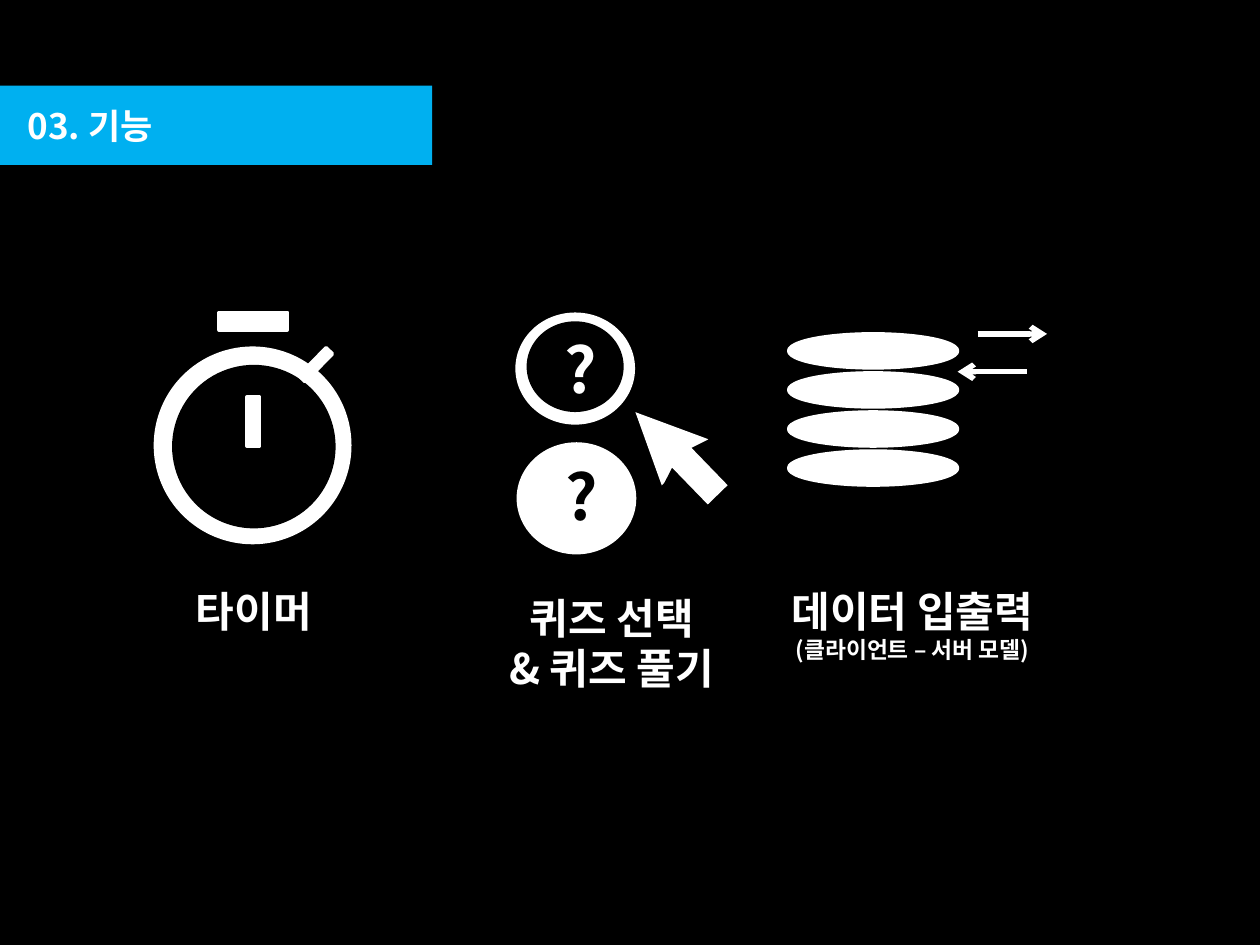
import pptx
import pptx.dml.color
import pptx.enum.shapes
import pptx.enum.text
import pptx.oxml
import pptx.oxml.ns
import pptx.util

COLUMNS, ROWS = 100, 75
CELL = pptx.util.Inches(10) // COLUMNS
FONT = "Noto Sans CJK KR"
BLACK, WHITE, BLUE = "000000", "FFFFFF", "00B0F0"
KIND = pptx.enum.shapes.MSO_SHAPE
CENTER = pptx.enum.text.PP_ALIGN.CENTER
LEFT = pptx.enum.text.PP_ALIGN.LEFT


def color(value):
    return pptx.dml.color.RGBColor.from_string(value)


def cells(*counts):
    return [round(count * CELL) for count in counts]


def within(box, left, top, width, height):
    return cells(box[0] + left, box[1] + top, width, height)


def add_part(shapes, kind, area, fill, outlined=False, rotation=0):
    shape = shapes.add_shape(kind, *area)
    shape.shadow.inherit = False
    shape.rotation = rotation
    shape.fill.solid()
    shape.fill.fore_color.rgb = color(fill)
    if outlined:
        shape.line.color.rgb = color(fill)
        shape.line.width = pptx.util.Pt(2)
    else:
        shape.line.fill.background()


def add_label(shapes, area, lines, ink=WHITE, alignment=CENTER):
    text_frame = shapes.add_textbox(*area).text_frame
    text_frame.word_wrap = True
    text_frame.auto_size = pptx.enum.text.MSO_AUTO_SIZE.SHAPE_TO_FIT_TEXT
    text_frame.text = "\n".join(text for text, size in lines)
    for paragraph, (text, size) in zip(text_frame.paragraphs, lines):
        paragraph.alignment = alignment
        font = paragraph.runs[0].font
        font.name = FONT
        font.size = pptx.util.Pt(size)
        font.bold = True
        font.color.rgb = color(ink)
        east_asian = pptx.oxml.parse_xml(
            f'<a:ea {pptx.oxml.ns.nsdecls("a")} typeface="{FONT}"/>')
        paragraph.runs[0].font._element.append(east_asian)


def add_arrow(shapes, box, start, end, row):
    points = cells(box[0] + start, box[1] + row, box[0] + end, box[1] + row)
    connector = shapes.add_connector(
        pptx.enum.shapes.MSO_CONNECTOR.STRAIGHT, *points)
    connector.line.color.rgb = color(WHITE)
    connector.line.width = pptx.util.Pt(3)
    namespace = pptx.oxml.ns.nsdecls("a")
    connector.line._get_or_add_ln().append(
        pptx.oxml.parse_xml(f'<a:tailEnd {namespace} type="arrow"/>'))
    connector._element.spPr.append(
        pptx.oxml.parse_xml(f"<a:effectLst {namespace}/>"))


def add_title(shapes, box):
    add_part(shapes, KIND.RECTANGLE, cells(*box), BLUE)
    add_label(shapes, within(box, 4.7, 1, 38.6, 4.4), [("03. 기능", 20)],
              alignment=LEFT)


def add_timer(shapes, box):
    add_part(shapes, KIND.OVAL, within(box, 3.1, 2.7, 15.7, 15.7), WHITE)
    add_part(shapes, KIND.OVAL, within(box, 4.7, 4.3, 12.7, 12.7), BLACK, True)
    hand, knob, crown = (10.5, 6.7, 1, 3.9), (15.6, 2.6, 0.7, 3.1), (8.3, 0, 5.4, 1.4)
    for part, rotation in ((hand, 0), (knob, 44.3), (crown, 0)):
        add_part(shapes, KIND.RECTANGLE, within(box, *part), WHITE, True, rotation)
    add_label(shapes, within(box, 0, 21.2, box[2], 5), [("타이머", 24)])


def add_quiz(shapes, box):
    add_part(shapes, KIND.OVAL, within(box, 2.7, 0, 9.5, 8.9), WHITE)
    add_part(shapes, KIND.OVAL, within(box, 3.6, 0.7, 7.7, 7.2), BLACK)
    add_part(shapes, KIND.OVAL, within(box, 2.8, 10.3, 9.5, 8.9), WHITE)
    pointer = (
        (KIND.ISOSCELES_TRIANGLE, (11.6, 7.1, 5.2, 5.6), WHITE, 315.3),
        (KIND.ISOSCELES_TRIANGLE, (13, 11.1, 6.1, 1), BLACK, 315.3),
        (KIND.RECTANGLE, (14.1, 11.4, 5.5, 2.2), WHITE, 45.9),
    )
    for kind, part, fill, rotation in pointer:
        add_part(shapes, kind, within(box, *part), fill, rotation=rotation)
    add_label(shapes, within(box, 0, 21.7, box[2], 9.1),
              [("퀴즈 선택", 24), ("& 퀴즈 풀기", 24)])
    for left, top, ink in ((5.6, 0.9, WHITE), (5.7, 11, BLACK)):
        add_label(shapes, within(box, left, top, 3.8, 7.1), [("?", 36)], ink, LEFT)


def add_data(shapes, box):
    for disk in range(4):
        add_part(shapes, KIND.OVAL,
                 within(box, 1.6, 1.7 + 3.1 * disk, 13.4, 2.7), WHITE, True)
    add_arrow(shapes, box, 16.6, 22.1, 1.7)
    add_arrow(shapes, box, 20.5, 15, 4.7)
    add_label(shapes, within(box, 0, 21.2, box[2], 7.2),
              [("데이터 입출력", 24), ("(클라이언트 – 서버 모델)", 13)])


def main():
    presentation = pptx.Presentation()
    presentation.slide_width, presentation.slide_height = cells(COLUMNS, ROWS)
    slide = presentation.slides.add_slide(presentation.slide_layouts[6])
    slide.background.fill.solid()
    slide.background.fill.fore_color.rgb = color(BLACK)
    add_title(slide.shapes, (-3.5, 6.8, 37.8, 6.3))
    features = (
        (add_timer, (9.1, 24.8, 22.1, 26.2)),
        (add_quiz, (38.2, 24.8, 20.7, 30.8)),
        (add_data, (61, 24.8, 22.8, 28.4)),
    )
    for add_feature, box in features:
        add_feature(slide.shapes.add_group_shape().shapes, box)
    presentation.save("out.pptx")


if __name__ == "__main__":
    main()
